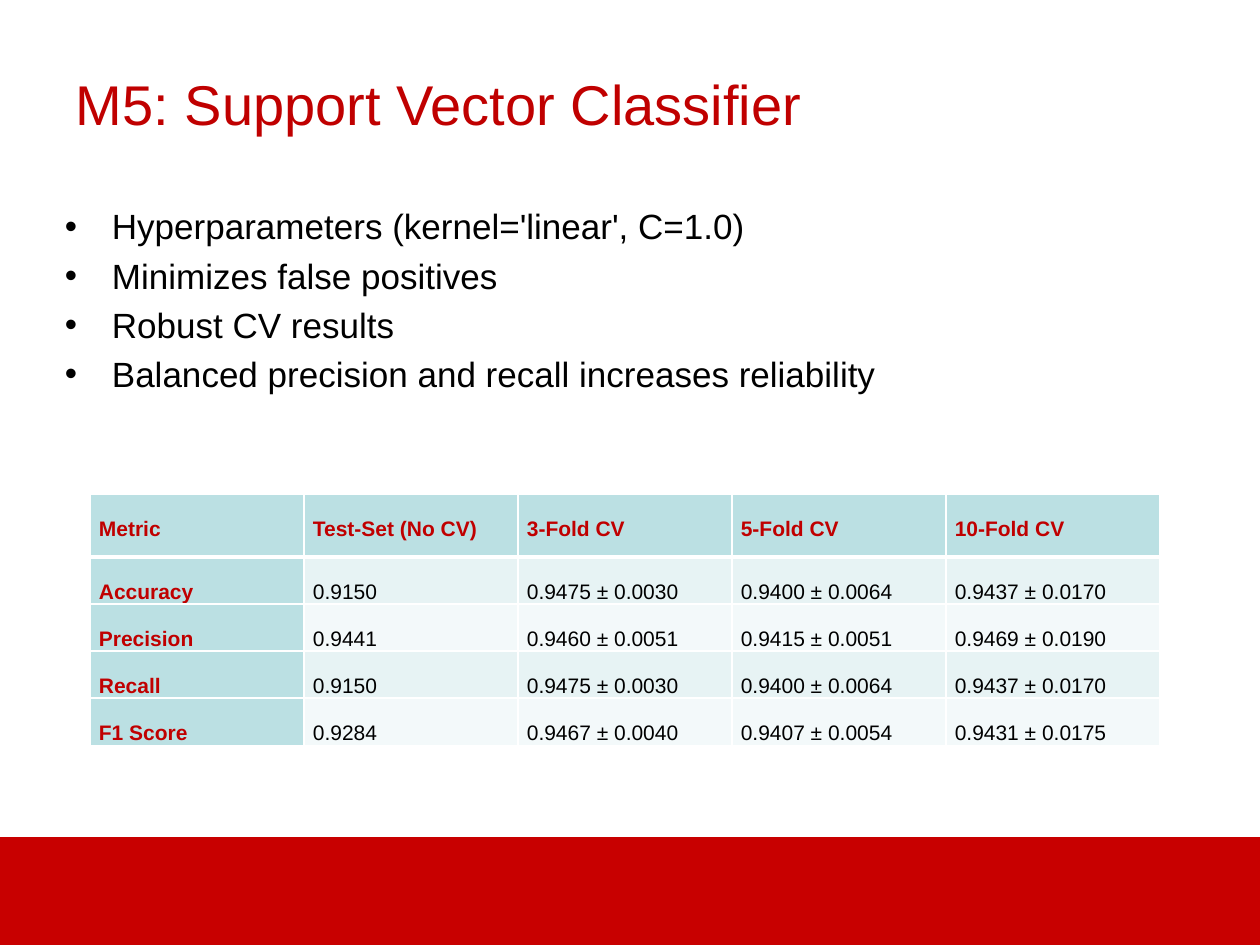
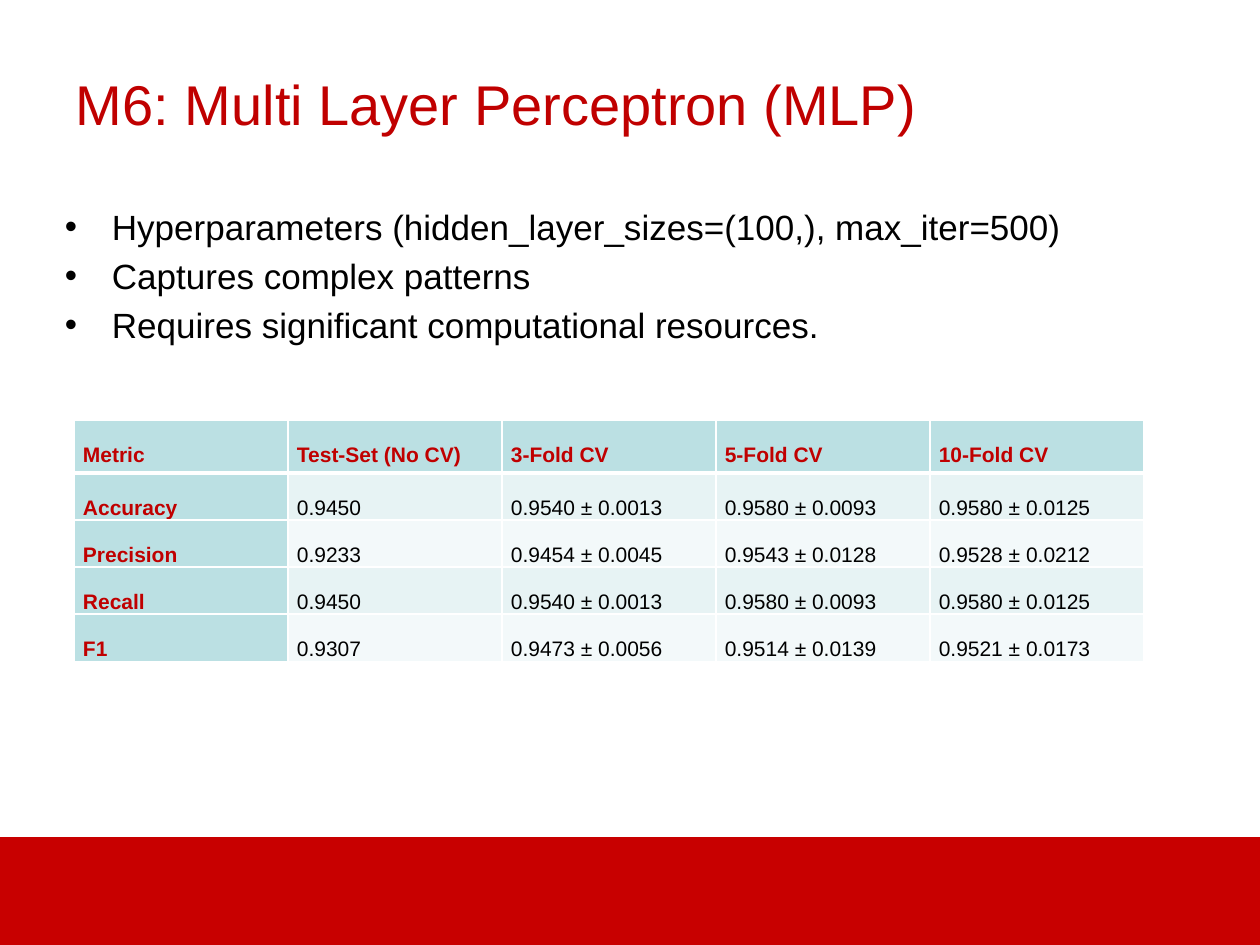
from lxml.etree import SubElement
from pptx import Presentation
from pptx.dml.color import RGBColor as Rgb
from pptx.enum.shapes import MSO_SHAPE as Shape
from pptx.enum.text import MSO_ANCHOR as Anchor, MSO_AUTO_SIZE as AutoSize, PP_ALIGN as Align
from pptx.oxml import parse_xml
from pptx.oxml.ns import nsdecls, qn
from pptx.util import Emu, Pt

PX_PER_INCH = 126
SLIDE_WIDTH, SLIDE_HEIGHT = 1260, 945
BAND_TOP = 837
CELL_INSET = 9
COLUMN_WIDTH = 214
ROW_HEIGHT = 43
BULLET_INDENT = 47
FONT = "Arial"
COLORS = {
    "band": "C80000",
    "accent": "C00000",
    "text": "000000",
    "head": "BBE0E3",
    "odd": "E7F3F4",
    "even": "F3F9FA",
    "border": "FFFFFF",
}
HEADINGS = ["Metric", "Test-Set (No CV)", "3-Fold CV", "5-Fold CV", "10-Fold CV"]


def px(length):
    return Emu(round(length * 914400 / PX_PER_INCH))


def write(para, text, size=20, color="text", bold=False, align=Align.LEFT, before=0, spacing=None):
    para.alignment = align
    para.space_before = Pt(before)
    if spacing:
        para.line_spacing = spacing
    span = para.add_run()
    span.text = text
    span.font.name = FONT
    span.font.size = Pt(size)
    span.font.bold = bold
    span.font.color.rgb = Rgb.from_string(COLORS[color])


class SlideBuilder:
    def __init__(self, deck):
        self.deck = deck
        self.page = None

    def add_page(self, title):
        self.page = self.deck.slides.add_slide(self.deck.slide_layouts[5])
        self.add_band()
        box = self.page.shapes.title
        box.left, box.top, box.width, box.height = map(px, (63, 63, 1071, 158))
        self.set_frame(box.text_frame, side=13)
        write(box.text_frame.paragraphs[0], title, size=32, color="accent")

    def add_band(self):
        band = self.page.shapes.add_shape(
            Shape.RECTANGLE, 0, px(BAND_TOP), px(SLIDE_WIDTH), px(SLIDE_HEIGHT - BAND_TOP))
        band.shadow.inherit = False
        band.fill.solid()
        band.fill.fore_color.rgb = Rgb.from_string(COLORS["band"])
        band.line.fill.background()

    def set_frame(self, frame, side):
        frame.word_wrap = True
        frame.auto_size = AutoSize.NONE
        frame.vertical_anchor = Anchor.TOP
        frame.margin_left = frame.margin_right = px(side)
        frame.margin_top = frame.margin_bottom = px(6)

    def add_bullets(self, lines, height):
        box = self.page.shapes.add_textbox(px(53), px(199), px(1144), px(height))
        frame = box.text_frame
        self.set_frame(frame, side=12)
        for index, line in enumerate(lines):
            para = frame.add_paragraph() if index else frame.paragraphs[0]
            props = para._p.get_or_add_pPr()
            props.set("marL", str(px(BULLET_INDENT)))
            props.set("indent", str(px(-BULLET_INDENT)))
            SubElement(props, qn("a:buFont")).set("typeface", FONT)
            SubElement(props, qn("a:buChar")).set("char", "•")
            write(para, line, before=4 if index else 0)

    def add_scores(self, left, top, header_height, scores):
        rows = [HEADINGS] + scores
        table = self.page.shapes.add_table(
            len(rows), len(HEADINGS), px(left), px(top), px(COLUMN_WIDTH * len(HEADINGS)),
            px(header_height + ROW_HEIGHT * len(scores))).table
        for column in table.columns:
            column.width = px(COLUMN_WIDTH)
        for row_index, texts in enumerate(rows):
            table.rows[row_index].height = px(ROW_HEIGHT if row_index else header_height)
            for column_index, text in enumerate(texts):
                self.fill_cell(table.cell(row_index, column_index), text, row_index, column_index)

    def fill_cell(self, cell, text, row_index, column_index):
        is_head = row_index == 0 or column_index == 0
        fill = "head" if is_head else "odd" if row_index % 2 else "even"
        cell.margin_left = cell.margin_right = px(CELL_INSET)
        cell.margin_top = cell.margin_bottom = 0
        cell.vertical_anchor = Anchor.TOP
        cell.fill.solid()
        cell.fill.fore_color.rgb = Rgb.from_string(COLORS[fill])
        write(cell.text_frame.paragraphs[0], text, size=12, bold=is_head,
              color="accent" if is_head else "text", align=Align.JUSTIFY, spacing=2.0)
        widths = {"lnL": 1, "lnR": 1, "lnT": 3 if row_index == 1 else 1, "lnB": 1 if row_index else 3}
        for position, (side, width) in enumerate(widths.items()):
            border = parse_xml(
                f'<a:{side} {nsdecls("a")} w="{Pt(width)}"><a:solidFill>'
                f'<a:srgbClr val="{COLORS["border"]}"/></a:solidFill></a:{side}>')
            cell._tc.get_or_add_tcPr().insert(position, border)


def main():
    deck = Presentation()
    deck.slide_width, deck.slide_height = px(SLIDE_WIDTH), px(SLIDE_HEIGHT)
    builder = SlideBuilder(deck)

    builder.add_page("M5: Support Vector Classifier")
    builder.add_bullets([
        "Hyperparameters (kernel='linear', C=1.0)",
        "Minimizes false positives",
        "Robust CV results",
        "Balanced precision and recall increases reliability",
    ], height=325)
    builder.add_scores(90, 494, 63, [
        ["Accuracy", "0.9150", "0.9475 ± 0.0030", "0.9400 ± 0.0064", "0.9437 ± 0.0170"],
        ["Precision", "0.9441", "0.9460 ± 0.0051", "0.9415 ± 0.0051", "0.9469 ± 0.0190"],
        ["Recall", "0.9150", "0.9475 ± 0.0030", "0.9400 ± 0.0064", "0.9437 ± 0.0170"],
        ["F1 Score", "0.9284", "0.9467 ± 0.0040", "0.9407 ± 0.0054", "0.9431 ± 0.0175"],
    ])

    builder.add_page("M6: Multi Layer Perceptron (MLP)")
    builder.add_bullets([
        "Hyperparameters (hidden_layer_sizes=(100,), max_iter=500)",
        "Captures complex patterns",
        "Requires significant computational resources.",
    ], height=147)
    builder.add_scores(74, 420, 53, [
        ["Accuracy", "0.9450", "0.9540 ± 0.0013", "0.9580 ± 0.0093", "0.9580 ± 0.0125"],
        ["Precision", "0.9233", "0.9454 ± 0.0045", "0.9543 ± 0.0128", "0.9528 ± 0.0212"],
        ["Recall", "0.9450", "0.9540 ± 0.0013", "0.9580 ± 0.0093", "0.9580 ± 0.0125"],
        ["F1", "0.9307", "0.9473 ± 0.0056", "0.9514 ± 0.0139", "0.9521 ± 0.0173"],
    ])
    deck.save("out.pptx")


if __name__ == "__main__":
    main()
